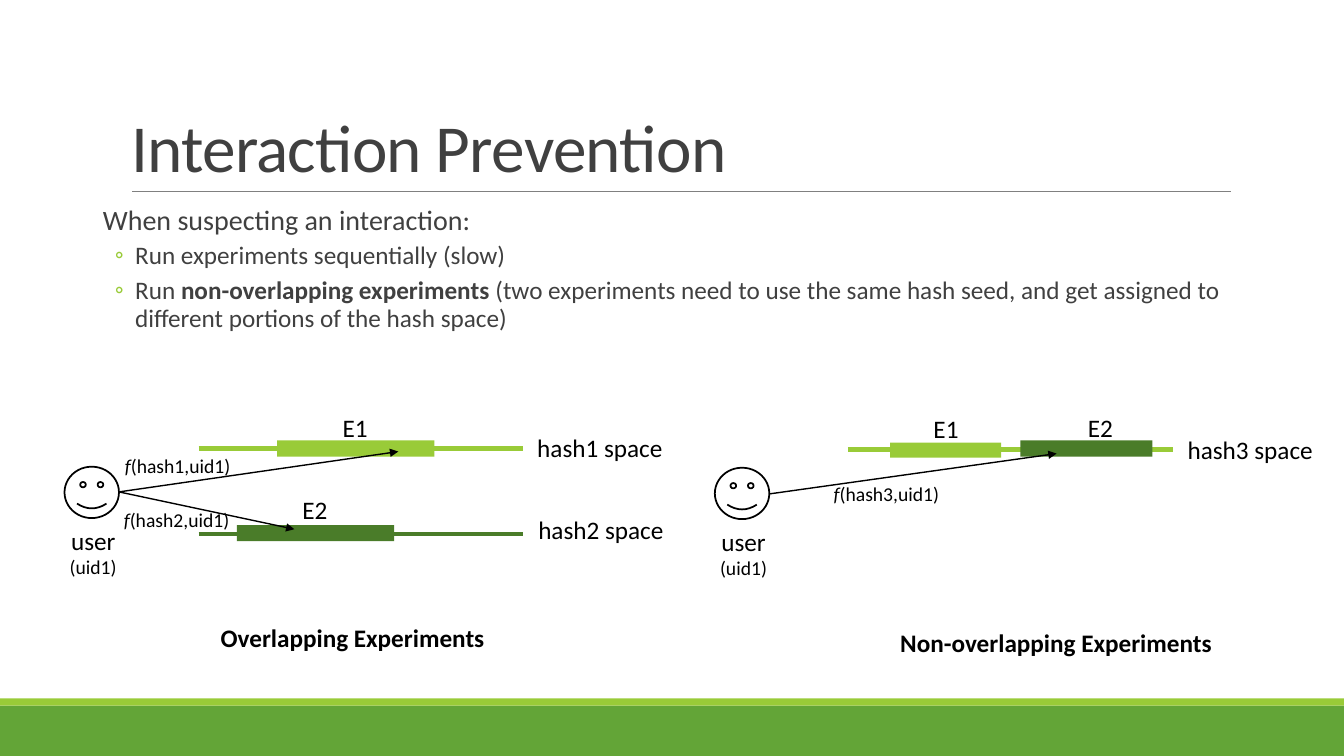
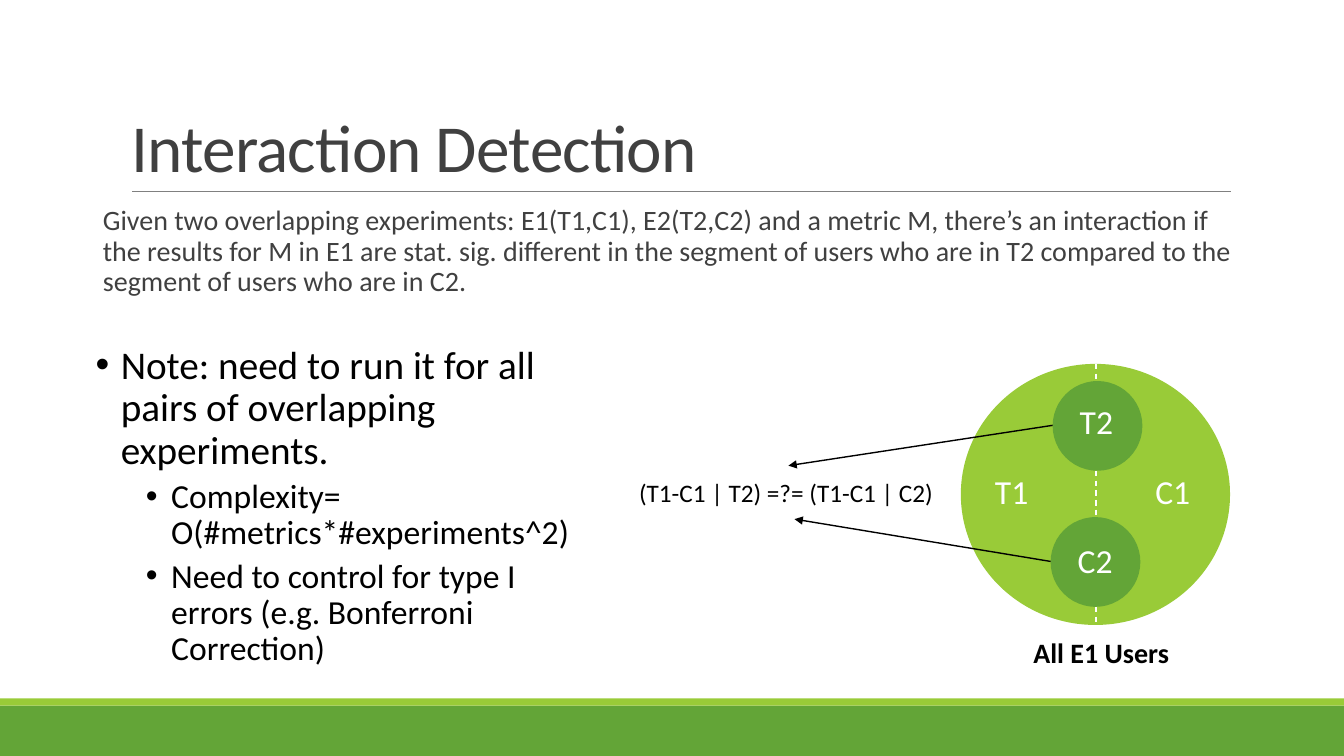
import pptx
import pptx.util
import pptx.oxml.ns
import pptx.dml.color
import pptx.enum.dml
import pptx.enum.shapes
import pptx.enum.text
import lxml.etree

Inches = pptx.util.Inches
Pt = pptx.util.Pt
RGBColor = pptx.dml.color.RGBColor
qn = pptx.oxml.ns.qn
SHAPES = pptx.enum.shapes.MSO_SHAPE
ALIGN = pptx.enum.text.PP_ALIGN

FONT = "Calibri"
GREEN = RGBColor(0x63, 0xA5, 0x37)
LIME = RGBColor(0x99, 0xCB, 0x38)
FOREST = RGBColor(0x4A, 0x7C, 0x29)
RULE_GRAY = RGBColor(0x80, 0x80, 0x80)
TEXT_GRAY = RGBColor(0x40, 0x40, 0x40)
BLACK = RGBColor(0, 0, 0)
WHITE = RGBColor(0xFF, 0xFF, 0xFF)


def add_figure(slide, kind, left, top, width, height, fill=None):
    """Filled shape without outline, or a black outline when fill is None."""
    figure = slide.shapes.add_shape(
        kind, Inches(left), Inches(top), Inches(width), Inches(height))
    figure.shadow.inherit = False
    if fill is None:
        figure.fill.background()
        figure.line.color.rgb = BLACK
        figure.line.width = Pt(1.25)
    else:
        figure.fill.solid()
        figure.fill.fore_color.rgb = fill
        figure.line.fill.background()


def add_line(slide, start, end, color=BLACK, weight=1, arrow=False, dashed=False):
    line = slide.shapes.add_connector(
        pptx.enum.shapes.MSO_CONNECTOR.STRAIGHT,
        Inches(start[0]), Inches(start[1]), Inches(end[0]), Inches(end[1]))
    line.line.color.rgb = color
    line.line.width = Pt(weight)
    if dashed:
        line.line.dash_style = pptx.enum.dml.MSO_LINE.DASH
    properties = line._element.spPr
    if arrow:
        lxml.etree.SubElement(
            properties.find(qn("a:ln")), qn("a:tailEnd"), type="triangle")
    lxml.etree.SubElement(properties, qn("a:effectLst"))


deck = pptx.Presentation()
deck.slide_width = Inches(13.33)
deck.slide_height = Inches(7.5)

# Shared frame: bands, rule, title and body position
slides, bodies = [], []
for heading, body_height in (("Interaction Prevention", 2.27),
                             ("Interaction Detection", 1.88)):
    slide = deck.slides.add_slide(deck.slide_layouts[1])
    add_figure(slide, SHAPES.RECTANGLE, 0, 7, 13.33, 0.5, GREEN)
    add_figure(slide, SHAPES.RECTANGLE, 0, 6.93, 13.33, 0.07, LIME)
    add_line(slide, (1.31, 1.9), (12.21, 1.9), RULE_GRAY, 0.5)

    title = slide.shapes.title
    title.left, title.top = Inches(1.2), Inches(0.31)
    title.width, title.height = Inches(11), Inches(1.59)
    title.text_frame.auto_size = pptx.enum.text.MSO_AUTO_SIZE.NONE
    title.text_frame.vertical_anchor = pptx.enum.text.MSO_ANCHOR.BOTTOM
    paragraph = title.text_frame.paragraphs[0]
    paragraph.alignment = ALIGN.LEFT
    paragraph.line_spacing = 0.85
    run = paragraph.add_run()
    run.text = heading
    run.font.name = FONT
    run.font.size = Pt(48)
    run.font.color.rgb = TEXT_GRAY
    run._r.get_or_add_rPr().set("spc", "-50")

    body = slide.placeholders[1]
    body.left, body.top = Inches(0.92), Inches(2)
    body.width, body.height = Inches(11.5), Inches(body_height)
    body.text_frame.margin_left = body.text_frame.margin_right = 0
    slides.append(slide)
    bodies.append(body.text_frame)
prevention, detection = slides

note = detection.shapes.add_textbox(
    Inches(0.85), Inches(3.38), Inches(5), Inches(3.4)).text_frame

# Paragraph styles: level, size, margin, hang, before, after, bullet
LEAD = (0, 20, 0.1, 0, 12, 2, None)
POINT = (1, 18, 0.42, 0.2, 2, 4, "\u25e6")
NOTE = (0, 28, 0.25, 0.25, 10, 0, "\u2022")
SUBNOTE = (1, 24, 0.75, 0.25, 5, 0, "\u2022")

# Outlines: frame, text colour, bullet colour, bullet font, paragraphs
outlines = [
    (bodies[0], TEXT_GRAY, LIME, FONT, [
        (LEAD, [("When suspecting an interaction:", False)]),
        (POINT, [("Run experiments sequentially (slow)", False)]),
        (POINT, [("Run ", False), ("non-overlapping experiments ", True),
                 ("(two experiments need to use the same hash seed, and get "
                  "assigned to different portions of the hash space)", False)]),
    ]),
    (bodies[1], TEXT_GRAY, LIME, FONT, [
        (LEAD, [("Given two overlapping experiments: E1(T1,C1), E2(T2,C2) and a "
                 "metric M, there\u2019s an interaction if the results for M in E1 "
                 "are stat. sig. different in the segment of users who are in T2 "
                 "compared to the segment of users who are in C2.", False)]),
    ]),
    (note, BLACK, BLACK, "Arial", [
        (NOTE, [("Note: need to run it for all pairs of overlapping "
                 "experiments.", False)]),
        (SUBNOTE, [("Complexity= O(#metrics*#experiments^2)", False)]),
        (SUBNOTE, [("Need to control for type I errors (e.g. Bonferroni "
                    "Correction)", False)]),
    ]),
]
for frame, color, bullet_color, bullet_font, items in outlines:
    frame.word_wrap = True
    frame.auto_size = pptx.enum.text.MSO_AUTO_SIZE.NONE
    for index, (style, pieces) in enumerate(items):
        level, size, margin, hang, before, after, bullet = style
        paragraph = frame.add_paragraph() if index else frame.paragraphs[0]
        paragraph.level = level
        paragraph.line_spacing = 0.9
        paragraph.space_before, paragraph.space_after = Pt(before), Pt(after)
        properties = paragraph._p.get_or_add_pPr()
        properties.set("marL", str(Inches(margin)))
        properties.set("indent", str(-Inches(hang)))
        if bullet:
            tint = lxml.etree.SubElement(properties, qn("a:buClr"))
            lxml.etree.SubElement(tint, qn("a:srgbClr"), val=str(bullet_color))
            lxml.etree.SubElement(properties, qn("a:buFont"), typeface=bullet_font)
            lxml.etree.SubElement(properties, qn("a:buChar"), char=bullet)
        else:
            lxml.etree.SubElement(properties, qn("a:buNone"))
        for words, bold in pieces:
            run = paragraph.add_run()
            run.text = words
            run.font.name = FONT
            run.font.size = Pt(size)
            run.font.bold = bold
            run.font.color.rgb = color

# Prevention: hash spaces, experiment ranges, users and assignments
for left, y, color in ((1.97, 4.45, LIME), (1.97, 5.3, FOREST), (8.41, 4.46, LIME)):
    add_line(prevention, (left, y), (left + 3.22, y), color, 3)
for left, top, width, height, color in (
        (2.75, 4.37, 1.56, 0.16, LIME), (2.35, 5.21, 1.56, 0.16, FOREST),
        (8.83, 4.39, 1.1, 0.15, LIME), (10.12, 4.37, 1.31, 0.16, FOREST)):
    add_figure(prevention, SHAPES.RECTANGLE, left, top, width, height, color)
for left, top in ((0.64, 4.63), (7.09, 4.64)):
    add_figure(prevention, SHAPES.SMILEY_FACE, left, top, 0.54, 0.51)
for start, end in (((1.18, 4.88), (3.95, 4.48)), ((1.18, 4.88), (2.92, 5.25)),
                   ((7.63, 4.9), (10.48, 4.5))):
    add_line(prevention, start, end, arrow=True)

# Detection: E1 users split in halves, E2 segments and their comparison
add_figure(detection, SHAPES.OVAL, 9.53, 3.61, 2.67, 2.59, LIME)
add_line(detection, (10.87, 3.61), (10.87, 6.2), WHITE, dashed=True)
for left, top in ((10.44, 3.78), (10.42, 5.13)):
    add_figure(detection, SHAPES.OVAL, left, top, 0.89, 0.89, GREEN)
for start, end in (((10.44, 4.22), (7.82, 4.62)), ((10.42, 5.57), (7.88, 5.15))):
    add_line(detection, start, end, arrow=True)

# Labels: slide, left, top, width, height, colour, lines of (words, size, style)
labels = []
for left, top in ((0.59, 5.16), (7.04, 5.17)):
    labels.append((prevention, left, top, 0.67, 0.64, BLACK,
                   [[("user", 18, "")], [("(uid1)", 14, "")]]))
for number, left, top, call_left, call_top in (
        (1, 5.23, 4.24, 1.14, 4.45), (2, 5.24, 5.05, 1.13, 4.99),
        (3, 11.68, 4.26, 8.17, 4.73)):
    labels.append((prevention, left, top, 1.52, 0.4, BLACK,
                   [[(f"hash{number} space", 18, "")]]))
    labels.append((prevention, call_left, call_top, 1.26, 0.34, BLACK,
                   [[("f", 14, "italic"), (f"(hash{number},uid1)", 14, "")]]))
for words, left, top in (("E1", 3.3, 4.04), ("E2", 2.9, 4.86),
                         ("E1", 9.16, 4.05), ("E2", 10.69, 4.04)):
    labels.append((prevention, left, top, 0.45, 0.4, BLACK, [[(words, 18, "")]]))
for words, left, top in (("T1", 9.77, 4.62), ("C1", 11.36, 4.62),
                         ("T2", 10.61, 3.93), ("C2", 10.59, 5.31)):
    labels.append((detection, left, top, 0.55, 0.5, WHITE, [[(words, 24, "")]]))
labels += [
    (prevention, 2.09, 6.12, 2.84, 0.4, BLACK,
     [[("Overlapping Experiments", 18, "bold")]]),
    (prevention, 8.83, 6.17, 3.31, 0.4, BLACK,
     [[("Non-overlapping Experiments", 18, "bold")]]),
    (detection, 10.15, 6.26, 1.55, 0.44, BLACK, [[("All E1 Users", 20, "bold")]]),
    (detection, 6.24, 4.69, 3.15, 0.4, BLACK,
     [[("(T1-C1 | T2) =?= (T1-C1 | C2)", 18, "")]]),
]
for slide, left, top, width, height, color, rows in labels:
    frame = slide.shapes.add_textbox(
        Inches(left), Inches(top), Inches(width), Inches(height)).text_frame
    frame.word_wrap = False
    for index, row in enumerate(rows):
        paragraph = frame.add_paragraph() if index else frame.paragraphs[0]
        paragraph.alignment = ALIGN.CENTER if len(rows) > 1 else ALIGN.LEFT
        for words, size, style in row:
            run = paragraph.add_run()
            run.text = words
            run.font.name = FONT
            run.font.size = Pt(size)
            run.font.bold = style == "bold"
            run.font.italic = style == "italic"
            run.font.color.rgb = color

deck.save("out.pptx")
